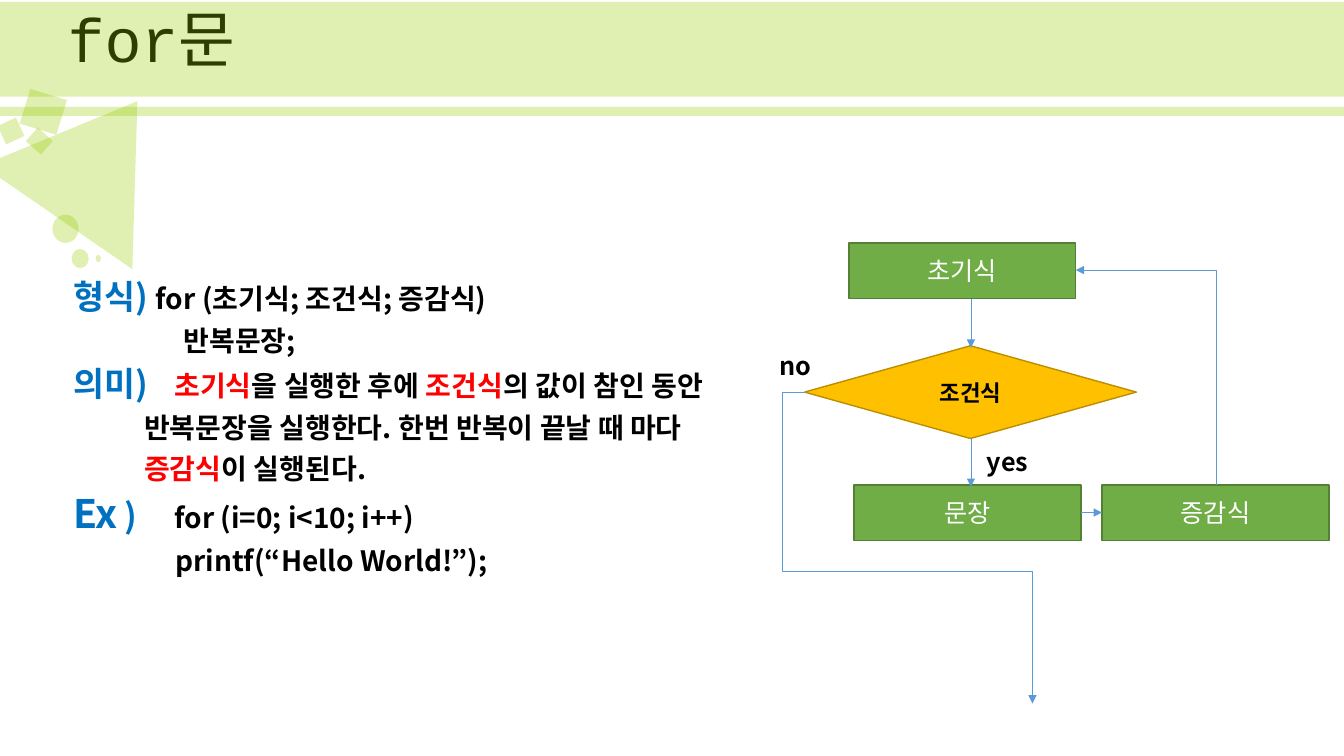
from lxml.etree import SubElement
from pptx import Presentation
from pptx.dml.color import RGBColor
from pptx.enum.shapes import MSO_CONNECTOR, MSO_SHAPE
from pptx.enum.text import MSO_ANCHOR, MSO_AUTO_SIZE, PP_ALIGN
from pptx.oxml.ns import qn
from pptx.util import Pt

EMU_PER_PX = 9144
HANGUL_FONT = "Noto Sans CJK KR"
CODE_FONT = "Courier New"

BLACK = RGBColor(0x00, 0x00, 0x00)
WHITE = RGBColor(0xFF, 0xFF, 0xFF)
RED = RGBColor(0xFF, 0x00, 0x00)
LABEL_BLUE = RGBColor(0x00, 0x70, 0xC0)
LIME = RGBColor(0x99, 0xCC, 0x00)
GREEN = RGBColor(0x70, 0xAD, 0x47)
GREEN_EDGE = RGBColor(0x53, 0x80, 0x35)
GOLD = RGBColor(0xFF, 0xC0, 0x00)
GOLD_EDGE = RGBColor(0xBD, 0x8E, 0x00)
ARROW_BLUE = RGBColor(0x5B, 0x9B, 0xD5)

TOP, LEFT, BOTTOM, RIGHT = range(4)  # connection sites

# Each line: indent, tab stops, (text, size, colour) runs
SYNTAX_LINES = [
    (0, [], [("형식) ", 24, LABEL_BLUE), ("for (초기식; 조건식; 증감식)", 20, BLACK)]),
    (109, [], [("반복문장;", 20, BLACK)]),
    (0, [97], [("의미)", 24, LABEL_BLUE), ("\t초기식", 20, RED),
               ("을 실행한 후에 ", 20, BLACK), ("조건식", 20, RED),
               ("의 값이 참인 동안", 20, BLACK)]),
    (70, [], [("반복문장을 실행한다. 한번 반복이 끝날 때 마다", 20, BLACK)]),
    (70, [], [("증감식", 20, RED), ("이 실행된다.", 20, BLACK)]),
    (0, [58, 84], [("Ex", 28, LABEL_BLUE), ("\t)", 24, LABEL_BLUE),
                   ("\tfor (i=0; i<10; i++)", 20, BLACK)]),
    (101, [], [("printf(“Hello World!”);", 20, BLACK)]),
]

# Preset, box, rotation
ORNAMENTS = [
    (MSO_SHAPE.RECTANGLE, (0, 2, 1333, 94), 0),
    (MSO_SHAPE.RECTANGLE, (0, 106, 1342, 9), 0),
    (MSO_SHAPE.ISOSCELES_TRIANGLE, (6, 88, 181, 140), 34.6),
    (MSO_SHAPE.RECTANGLE, (24, 93, 38, 36), 17.1),
    (MSO_SHAPE.RECTANGLE, (29, 131, 20, 18), 41.8),
    (MSO_SHAPE.RECTANGLE, (1, 120, 20, 20), 335.3),
    (MSO_SHAPE.OVAL, (95, 253, 5, 7), 0),
    (MSO_SHAPE.OVAL, (71, 247, 17, 19), 0),
    (MSO_SHAPE.OVAL, (52, 213, 26, 28), 0),
]


def px(*lengths):
    return [length * EMU_PER_PX for length in lengths]


def place(part, box):
    part.left, part.top, part.width, part.height = px(*box)


def add_run(paragraph, text, size, color, bold=False, font=HANGUL_FONT):
    """Add a run with the same face for Latin and Hangul letters."""
    run = paragraph.add_run()
    run.text = text
    run.font.size = Pt(size)
    run.font.bold = bold
    run.font.color.rgb = color
    run.font.name = font
    SubElement(run._r.get_or_add_rPr(), qn("a:ea"), typeface=font)


def add_title(slide, box):
    title = slide.shapes.title
    place(title, box)
    frame = title.text_frame
    frame.auto_size = MSO_AUTO_SIZE.NONE
    frame.vertical_anchor = MSO_ANCHOR.MIDDLE
    frame.margin_left, = px(47)
    heading = frame.paragraphs[0]
    heading.alignment = PP_ALIGN.LEFT
    heading.line_spacing = 0.9
    add_run(heading, "for", 44, BLACK, font=CODE_FONT)
    add_run(heading, "문", 44, BLACK)


def add_syntax(slide, box):
    body = slide.placeholders[1]
    place(body, box)
    frame = body.text_frame
    frame.auto_size = MSO_AUTO_SIZE.NONE
    frame.vertical_anchor = MSO_ANCHOR.TOP
    for number, (indent, stops, runs) in enumerate(SYNTAX_LINES):
        line = frame.add_paragraph() if number else frame.paragraphs[0]
        line.alignment = PP_ALIGN.LEFT
        line.line_spacing = 0.8
        line.space_before = Pt(10)
        properties = line._p.get_or_add_pPr()
        properties.set("marL", str(*px(indent)))
        properties.set("indent", "0")
        SubElement(properties, qn("a:buNone"))
        if stops:
            tabs = SubElement(properties, qn("a:tabLst"))
            for stop in px(*stops):
                SubElement(tabs, qn("a:tab"), pos=str(stop), algn="l")
        for text, size, color in runs:
            add_run(line, text, size, color, bold=True)


def add_ornaments(slide):
    for preset, box, angle in ORNAMENTS:
        ornament = slide.shapes.add_shape(preset, *px(*box))
        ornament.rotation = angle
        ornament.shadow.inherit = False
        ornament.line.fill.background()
        ornament.fill.solid()
        ornament.fill.fore_color.rgb = LIME
        tint = ornament._element.spPr.find(".//" + qn("a:srgbClr"))
        SubElement(tint, qn("a:alpha"), val="30000")


def add_step(slide, text, box, preset=MSO_SHAPE.RECTANGLE, fill=GREEN,
             edge=GREEN_EDGE, size=18, color=WHITE, bold=False):
    step = slide.shapes.add_shape(preset, *px(*box))
    step.shadow.inherit = False
    step.fill.solid()
    step.fill.fore_color.rgb = fill
    step.line.color.rgb = edge
    step.line.width = Pt(1)
    step.text_frame.vertical_anchor = MSO_ANCHOR.MIDDLE
    caption = step.text_frame.paragraphs[0]
    caption.alignment = PP_ALIGN.CENTER
    add_run(caption, text, size, color, bold)
    return step


def add_branch_label(slide, text, box):
    label = slide.shapes.add_textbox(*px(*box))
    label.text_frame.word_wrap = True
    add_run(label.text_frame.paragraphs[0], text, 18, BLACK, bold=True)


def add_arrow(slide, source, target=None, kind=MSO_CONNECTOR.STRAIGHT):
    """Join two (step, site) pairs; without a target the end stays free."""
    arrow = slide.shapes.add_connector(kind, 0, 0, 0, 0)
    arrow.begin_connect(*source)
    if target:
        arrow.end_connect(*target)
    arrow.line.color.rgb = ARROW_BLUE
    arrow.line.width = Pt(0.5)
    properties = arrow._element.spPr
    SubElement(properties.find(qn("a:ln")), qn("a:tailEnd"), type="triangle")
    SubElement(properties, qn("a:effectLst"))
    return arrow


def bend(arrow, preset, box, degrees, flips, adjustments=()):
    """Route an elbow arrow: its preset, unrotated box, turn, flips and bends."""
    place(arrow, box)
    properties = arrow._element.spPr
    frame = properties.find(qn("a:xfrm"))
    frame.set("rot", str(degrees * 60000))
    for axis in "HV":
        frame.set("flip" + axis, str(int(axis in flips)))
    geometry = properties.find(qn("a:prstGeom"))
    geometry.set("prst", preset)
    guides = geometry.find(qn("a:avLst"))
    if guides is None:
        guides = SubElement(geometry, qn("a:avLst"))
    for number, share in enumerate(adjustments, 1):
        SubElement(guides, qn("a:gd"), name=f"adj{number}", fmla=f"val {share}")


def add_flowchart(slide, left, top):
    def at(x, y, width, height):
        return left + x, top + y, width, height

    condition = add_step(slide, "조건식", at(35, 102, 329, 92), MSO_SHAPE.DIAMOND,
                         GOLD, GOLD_EDGE, 16, BLACK, True)
    statement = add_step(slide, "문장", at(84, 240, 225, 55))
    increment = add_step(slide, "증감식", at(330, 240, 225, 55))
    start = add_step(slide, "초기식", at(79, 0, 225, 55))
    add_branch_label(slide, "yes", at(206, 197, 70, 40))
    add_branch_label(slide, "no", at(0, 102, 70, 40))

    for x, y, height in ((200, 56, 48), (200, 194, 48)):
        source, target = (start, condition) if y < 100 else (condition, statement)
        down = add_arrow(slide, (source, BOTTOM), (target, TOP))
        place(down, at(x, y, 0, height))
    add_arrow(slide, (statement, RIGHT), (increment, LEFT))
    repeat = add_arrow(slide, (increment, TOP), (start, RIGHT), MSO_CONNECTOR.ELBOW)
    bend(repeat, "bentConnector2", at(267, 64, 213, 139), 270, "V")
    leave = add_arrow(slide, (condition, LEFT), kind=MSO_CONNECTOR.ELBOW)
    bend(leave, "bentConnector4", at(35, 148, 226, 309), 180, "HV", (-9900, 57500))


def main():
    deck = Presentation()
    deck.slide_width, deck.slide_height = px(1333, 750)
    slide = deck.slides.add_slide(deck.slide_layouts[1])
    add_title(slide, (20, -30, 1150, 145))
    add_syntax(slide, (63, 276, 777, 452))
    add_ornaments(slide)
    add_flowchart(slide, 763, 241)
    deck.save("out.pptx")


if __name__ == "__main__":
    main()
